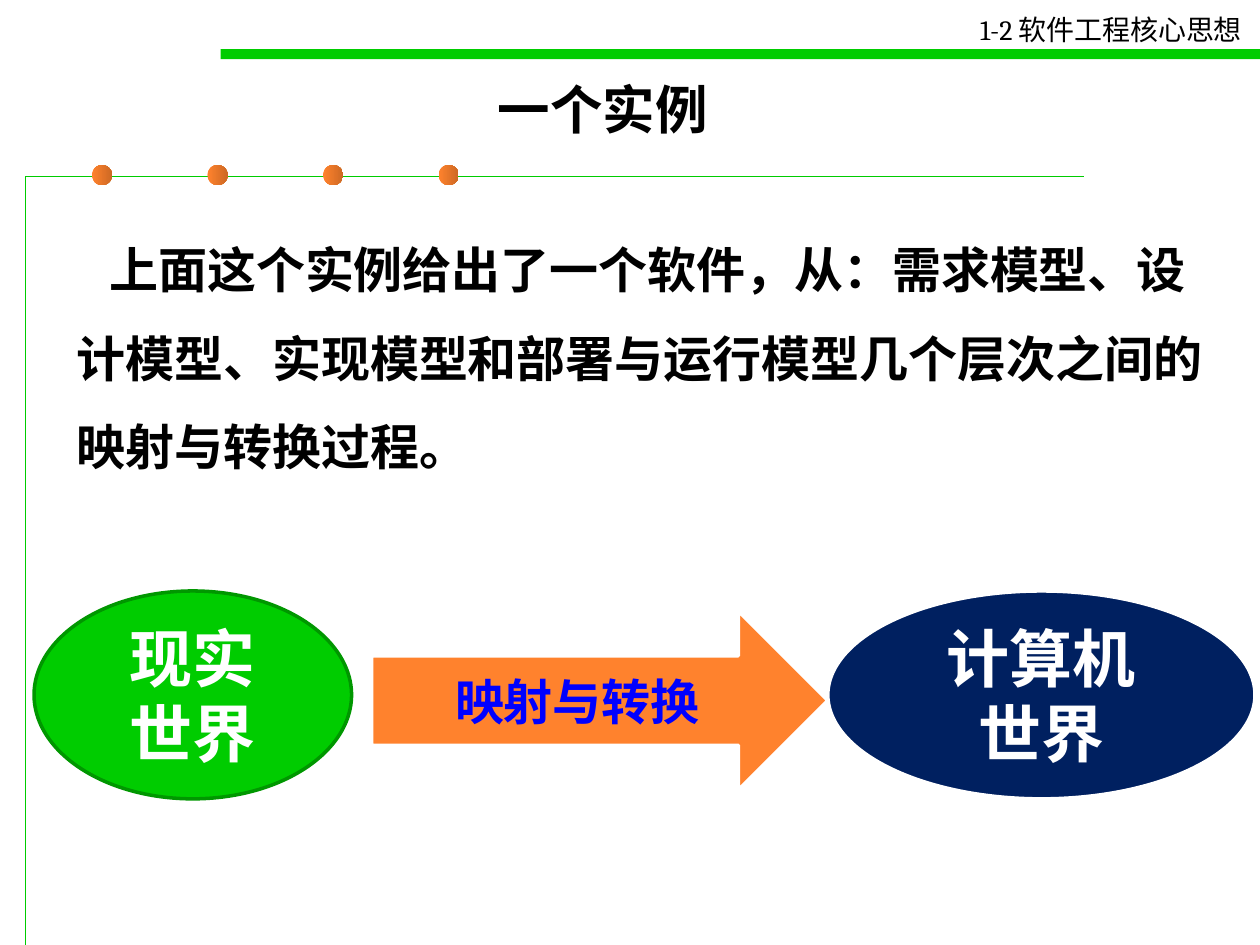
from dataclasses import dataclass

import pptx
import pptx.dml.color
import pptx.enum.shapes
import pptx.enum.text
import pptx.util

COLS, ROWS = 100, 75
CELL = pptx.util.Inches(0.1)
FONT = "Cambria"
COLORS = {
    "green": "00CC00", "dark_green": "009700", "navy": "002060",
    "orange": "FF822D", "brown": "CD6924", "blue": "0000FF",
    "white": "FFFFFF", "black": "000000",
}
SHAPE = pptx.enum.shapes.MSO_SHAPE
ALIGN = pptx.enum.text.PP_ALIGN
ANCHOR = pptx.enum.text.MSO_ANCHOR


@dataclass
class Box:
    """A place on the grid, in columns and rows."""
    col: float
    row: float
    cols: float
    rows: float

    def emu(self) -> list[int]:
        return [grid(n) for n in (self.col, self.row, self.cols, self.rows)]


@dataclass
class Node:
    kind: SHAPE
    box: Box
    text: str
    fill: str
    line: str
    size: int
    color: str = "white"


NODES = [
    Node(SHAPE.OVAL, Box(2.7, 46.9, 25.2, 16.5), "现实\n世界", "green", "dark_green", 36),
    Node(SHAPE.OVAL, Box(65.7, 46.9, 33.9, 16.5), "计算机\n世界", "navy", "white", 36),
    Node(SHAPE.RIGHT_ARROW, Box(29.5, 48.5, 36.2, 14.2), "映射与转换", "orange", "white", 28, "blue"),
]


def grid(n: float) -> int:
    return round(n * CELL)


def rgb(name: str) -> pptx.dml.color.RGBColor:
    return pptx.dml.color.RGBColor.from_string(COLORS[name])


def write(tf, text: str, size: int, color: str = "black", bold: bool = True, align=ALIGN.LEFT) -> None:
    tf.text = text
    for p in tf.paragraphs:
        p.alignment = align
        for r in p.runs:
            r.font.name = FONT
            r.font.size = pptx.util.Pt(size)
            r.font.bold = bold
            r.font.color.rgb = rgb(color)


def add_shape(s, kind: SHAPE, box: Box):
    """Add a preset shape with neither shadow nor outline."""
    sp = s.shapes.add_shape(kind, *box.emu())
    sp.shadow.inherit = False
    sp.line.fill.background()
    return sp


def add_frame(s) -> None:
    """Draw the corner line, its dots and the header bar."""
    builder = s.shapes.build_freeform(1.7, ROWS, scale=CELL)
    builder.add_line_segments([(1.7, 13.9), (86.2, 13.9)], close=False)
    sp = builder.convert_to_shape()
    sp.shadow.inherit = False
    sp.fill.background()
    sp.line.color.rgb = rgb("green")
    sp.line.width = pptx.util.Pt(0.75)

    for i in range(4):
        dot = add_shape(s, SHAPE.OVAL, Box(7.3 + 9.17 * i, 13.1, 1.6, 1.6))
        dot.fill.gradient()
        dot.fill.gradient_angle = 0
        for stop, name, position in zip(dot.fill.gradient_stops, ("orange", "brown"), (0, 1)):
            stop.color.rgb = rgb(name)
            stop.position = position

    bar = add_shape(s, SHAPE.RECTANGLE, Box(17.5, 3.9, COLS - 17.5, 0.8))
    bar.fill.solid()
    bar.fill.fore_color.rgb = rgb("green")


def add_node(s, node: Node) -> None:
    sp = add_shape(s, node.kind, node.box)
    sp.fill.solid()
    sp.fill.fore_color.rgb = rgb(node.fill)
    sp.line.color.rgb = rgb(node.line)
    sp.line.width = pptx.util.Pt(2)
    sp.text_frame.vertical_anchor = ANCHOR.MIDDLE
    write(sp.text_frame, node.text, node.size, node.color, align=ALIGN.CENTER)


def add_text(s, box: Box, text: str, size: int, bold: bool, wrap: bool):
    tf = s.shapes.add_textbox(*box.emu()).text_frame
    tf.word_wrap = wrap
    write(tf, text, size, bold=bold)
    return tf.paragraphs[0]


def main() -> None:
    prs = pptx.Presentation()
    prs.slide_width, prs.slide_height = grid(COLS), grid(ROWS)
    s = prs.slides.add_slide(prs.slide_layouts[5])

    add_frame(s)
    add_text(s, Box(76.8, 0.5, 23.3, 3.7), "1-2 软件工程核心思想", 16, bold=False, wrap=False)

    title = s.shapes.title
    title.left, title.top, title.width, title.height = Box(1.4, 5.6, 92.9, 7.1).emu()
    title.text_frame.vertical_anchor = ANCHOR.TOP
    write(title.text_frame, "一个实例", 30, align=ALIGN.CENTER)

    p = add_text(
        s, Box(5.1, 16.2, 91.3, 22.2),
        "上面这个实例给出了一个软件，从：需求模型、设计模型、实现模型和部署与运行模型几个层次之间的映射与转换过程。",
        28, bold=True, wrap=True)
    p.line_spacing = 1.5
    pPr = p._p.get_or_add_pPr()
    pPr.set("marL", "0")
    pPr.set("indent", str(grid(2.6)))

    for node in NODES:
        add_node(s, node)

    prs.save("out.pptx")


if __name__ == "__main__":
    main()
